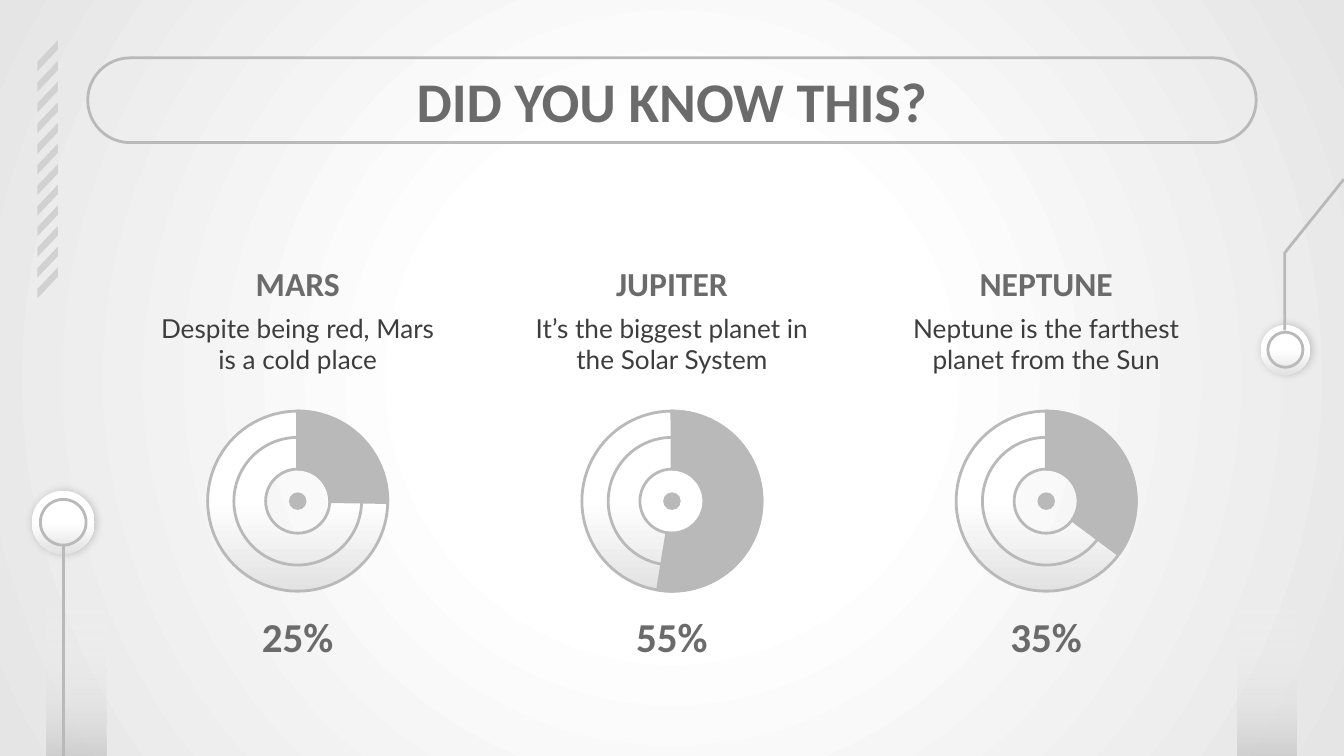
import dataclasses

import lxml.etree
import pptx
import pptx.dml.color
import pptx.enum.shapes
import pptx.enum.text
import pptx.oxml
import pptx.oxml.ns
import pptx.util

Pt = pptx.util.Pt
Shape = pptx.enum.shapes.MSO_SHAPE


@dataclasses.dataclass(frozen=True)
class Theme:
    heading_font: str = "Calibri"
    body_font: str = "Lato"
    heading: str = "6B6B6B"
    body: str = "3D3D3D"
    accent: str = "B9B9B9"
    stripe: str = "D1D1D1"
    title_size: float = 30
    name_size: float = 18
    body_size: float = 14
    value_size: float = 22
    line_width: float = 1.5
    backdrop: tuple = ((0, "FFFFFF", 100), (32, "FFFFFF", 100), (100, "E5E5E5", 100))
    glow: tuple = ((0, "B9B9B9", 100), (43, "DCDCDC", 42), (100, "FFFFFF", 0))
    dial: tuple = ((0, "FFFFFF", 100), (50, "FFFFFF", 100), (100, "E2E2E2", 100))


def color(value):
    return pptx.dml.color.RGBColor.from_string(value)


def append_xml(parent, tag, content):
    namespace = pptx.oxml.ns.nsdecls("a")
    tag_name = tag.split()[0]
    parent.append(pptx.oxml.parse_xml(f"<a:{tag} {namespace}>{content}</a:{tag_name}>"))


class SlideBuilder:
    def __init__(self, slide, theme):
        self.slide = slide
        self.theme = theme

    def gradient(self, fill, element, stops, angle=None):
        fill.gradient()
        gradient = element.find(".//" + pptx.oxml.ns.qn("a:gradFill"))
        for child in list(gradient):
            gradient.remove(child)
        content = "".join(
            f'<a:gs pos="{position * 1000}"><a:srgbClr val="{value}">'
            f'<a:alpha val="{alpha * 1000}"/></a:srgbClr></a:gs>'
            for position, value, alpha in stops
        )
        append_xml(gradient, "gsLst", content)
        if angle is None:
            center = '<a:fillToRect l="50000" t="50000" r="50000" b="50000"/>'
            append_xml(gradient, 'path path="circle"', center)
        else:
            append_xml(gradient, f'lin ang="{angle * 60000}" scaled="0"', "")

    def finish(self, shape, fill=None, line=None):
        shape.shadow.inherit = False
        if fill:
            shape.fill.solid()
            shape.fill.fore_color.rgb = color(fill)
        else:
            shape.fill.background()
        if line:
            shape.line.color.rgb = color(line)
            shape.line.width = Pt(self.theme.line_width)
        else:
            shape.line.fill.background()
        return shape

    def shape(self, kind, left, top, width, height, fill=None, line=None, adjustments=()):
        shape = self.slide.shapes.add_shape(kind, Pt(left), Pt(top), Pt(width), Pt(height))
        for index, value in enumerate(adjustments):
            shape.adjustments[index] = value
        return self.finish(shape, fill, line)

    def round(self, center_x, center_y, size, kind=Shape.OVAL, **style):
        return self.shape(kind, center_x - size / 2, center_y - size / 2, size, size, **style)

    def outline(self, points, closed, fill=None, line=None):
        vertices = [(Pt(x), Pt(y)) for x, y in points]
        builder = self.slide.shapes.build_freeform(*vertices[0])
        builder.add_line_segments(vertices[1:], close=closed)
        return self.finish(builder.convert_to_shape(), fill, line)

    def line(self, start_x, start_y, end_x, end_y):
        connector = self.slide.shapes.add_connector(
            pptx.enum.shapes.MSO_CONNECTOR.STRAIGHT, Pt(start_x), Pt(start_y), Pt(end_x), Pt(end_y)
        )
        connector.line.color.rgb = color(self.theme.accent)
        connector.line.width = Pt(self.theme.line_width)
        append_xml(connector._element.spPr, "effectLst", "")

    def text(self, text, center_x, top, width, height, size, bold=True, holder=None):
        shape = holder or self.slide.shapes.add_textbox(0, 0, 0, 0)
        shape.left, shape.top = Pt(center_x - width / 2), Pt(top)
        shape.width, shape.height = Pt(width), Pt(height)
        frame = shape.text_frame
        frame.text = text
        frame.word_wrap = True
        frame.auto_size = pptx.enum.text.MSO_AUTO_SIZE.NONE
        frame.vertical_anchor = pptx.enum.text.MSO_ANCHOR.MIDDLE
        frame.margin_left = frame.margin_right = Pt(7.2)
        frame.margin_top = frame.margin_bottom = Pt(7.2)
        paragraph = frame.paragraphs[0]
        properties = paragraph._p.get_or_add_pPr()
        properties.set("marL", "0")
        properties.set("indent", "0")
        append_xml(properties, "buNone", "")
        paragraph.alignment = pptx.enum.text.PP_ALIGN.CENTER
        paragraph.space_before = Pt(0)
        font = paragraph.runs[0].font
        font.name = self.theme.heading_font if bold else self.theme.body_font
        font.size = Pt(size)
        font.bold = bold
        font.color.rgb = color(self.theme.heading if bold else self.theme.body)

    def glow(self, center_x):
        width, height = 105, 31.7
        shape = self.shape(
            Shape.PARALLELOGRAM, center_x - width / 2, 355, width, height, adjustments=[0.25]
        )
        shape.rotation = 270
        self.gradient(shape.fill, shape._element, self.theme.glow, 0)

    def dial(self, center_x, center_y, degrees):
        accent = self.theme.accent
        ring = self.round(
            center_x, center_y, 96.5, Shape.DONUT, line=accent, adjustments=[0.322]
        )
        self.gradient(ring.fill, ring._element, self.theme.dial, 90)
        self.round(
            center_x, center_y, 96.5, Shape.BLOCK_ARC, fill=accent, line=accent,
            adjustments=[161.999, degrees * 0.6, 0.322],
        )
        self.round(center_x, center_y, 68.4, line=accent)
        self.round(center_x, center_y, 9.4, fill=accent)

    def knob(self, center_x, center_y, size, ring_size):
        disc = self.round(center_x, center_y, size)
        self.gradient(disc.fill, disc._element, self.theme.dial, 90)
        effects = disc._element.spPr.find(pptx.oxml.ns.qn("a:effectLst"))
        append_xml(
            effects,
            'outerShdw blurRad="57150" dist="10160" dir="0" algn="ctr" rotWithShape="0"',
            '<a:srgbClr val="000000"><a:alpha val="19000"/></a:srgbClr>',
        )
        self.round(center_x, center_y, ring_size, line=self.theme.accent)


def main():
    presentation = pptx.Presentation()
    presentation.slide_width, presentation.slide_height = Pt(720), Pt(405)
    slide = presentation.slides.add_slide(presentation.slide_layouts[4])
    theme = Theme()
    builder = SlideBuilder(slide, theme)
    builder.gradient(slide.background.fill, slide._element, theme.backdrop)

    for center_x in (41, 679):
        builder.glow(center_x)
    builder.shape(
        Shape.ROUNDED_RECTANGLE, 47, 31, 626, 45.4, line=theme.accent, adjustments=[0.5]
    )
    builder.text(
        "DID YOU KNOW THIS?", 360, 31, 607, 45.4, theme.title_size, holder=slide.shapes.title
    )

    planets = [
        ("MARS", "Despite being red, Mars is a cold place", "25%", 0.92),
        ("JUPITER", "It’s the biggest planet in the Solar System", "55%", 99.18),
        ("NEPTUNE", "Neptune is the farthest planet from the Sun", "35%", 36.51),
    ]
    for column, (name, fact, share, degrees) in enumerate(planets):
        center_x = 360 + (column - 1) * 200.5
        builder.text(name, center_x, 130.5, 171.4, 41.8, theme.name_size)
        builder.text(
            fact, center_x, 157.7, 171.4, 52.6, theme.body_size,
            bold=False, holder=slide.placeholders[column + 1],
        )
        builder.dial(center_x, 268.5, degrees)
        builder.text(share, center_x, 327, 88.6, 28, theme.value_size)
    unused = slide.placeholders[4]._element
    unused.getparent().remove(unused)

    builder.knob(33.9, 279.8, 33.8, 24.5)
    builder.line(33.9, 292, 33.9, 405)
    for index in range(12):
        offset = index * 11.06
        stripe = [(20, 38.2), (31, 26.6), (31, 21.6), (20, 33.2)]
        builder.outline([(x, y + offset) for x, y in stripe], True, fill=theme.stripe)
    builder.knob(688.6, 187.4, 26.6, 18.8)
    builder.outline([(688.3, 177), (688.3, 135.4), (720, 96)], False, line=theme.accent)

    presentation.save("out.pptx")


if __name__ == "__main__":
    main()
